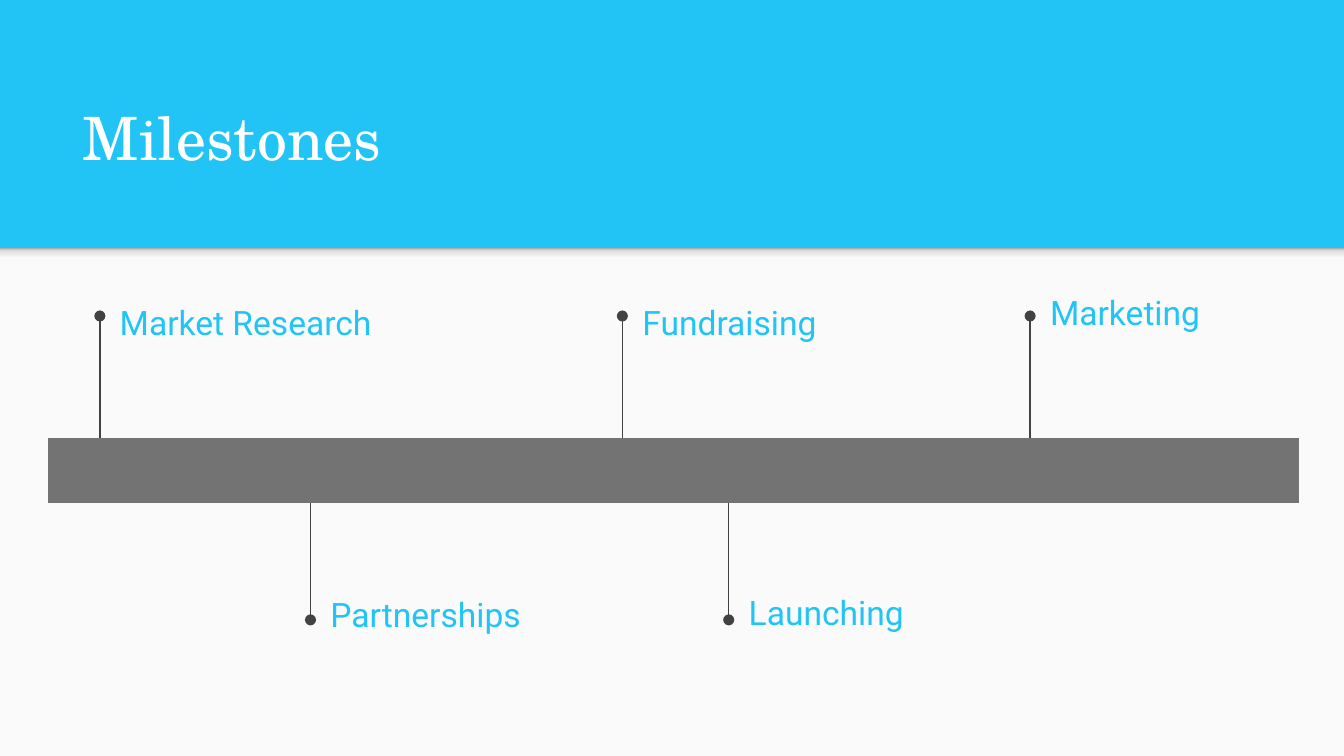
from typing import Any, NamedTuple

from pptx import Presentation
from pptx.dml.color import RGBColor
from pptx.enum.shapes import MSO_CONNECTOR, MSO_SHAPE
from pptx.enum.text import MSO_ANCHOR, MSO_AUTO_SIZE, PP_ALIGN
from pptx.oxml import parse_xml
from pptx.oxml.ns import nsdecls
from pptx.oxml.xmlchemy import OxmlElement
from pptx.util import Inches, Pt

SKY = RGBColor(0x21, 0xC4, 0xF5)
PAPER = RGBColor(0xFA, 0xFA, 0xFA)
WHITE = RGBColor(0xFF, 0xFF, 0xFF)
INK = RGBColor(0x42, 0x42, 0x42)
STEEL = RGBColor(0x73, 0x73, 0x73)
SHADE = {0: RGBColor(0xF9, 0xF9, 0xF9), 36: RGBColor(0xF9, 0xF9, 0xF9),
         80: RGBColor(0xDE, 0xDE, 0xDE), 100: RGBColor(0x99, 0x99, 0x99)}

WIDE = Inches(10)
HIGH = WIDE * 9 // 16
COLS = 12
LEFT, STEP = 0.0355 * WIDE, 0.0776 * WIDE
TOP, DEEP = 0.58 * HIGH, 0.0855 * HIGH
SPLIT = 0.3274
PAD = Inches(0.1)


class Stage(NamedTuple):
    name: str
    col: float
    tip: float
    top: float
    width: float


STAGES = [
    Stage("Market Research", 0.5, 0.418, 0.388, 0.214),
    Stage("Partnerships", 2.52, 0.82, 0.774, 0.198),
    Stage("Fundraising", 5.51, 0.418, 0.388, 0.198),
    Stage("Launching", 6.53, 0.82, 0.772, 0.198),
    Stage("Marketing", 9.42, 0.418, 0.374, 0.214),
]


def style(item: Any, looks: dict[str, Any]) -> None:
    for key, value in looks.items():
        setattr(item, key, value)


def write(shape: Any, text: str, anchor: Any, low: int, font: dict[str, Any]) -> None:
    frame = shape.text_frame
    style(frame, {"word_wrap": True, "auto_size": MSO_AUTO_SIZE.NONE,
                  "vertical_anchor": anchor, "margin_left": PAD,
                  "margin_right": PAD, "margin_top": PAD, "margin_bottom": low})
    line = frame.paragraphs[0]
    line.alignment = PP_ALIGN.LEFT
    run = line.add_run()
    run.text = text
    color = font["color"]
    style(run.font, {key: value for key, value in font.items() if key != "color"})
    run.font.color.rgb = color


def panel(slide: Any, top: float, height: float) -> Any:
    shape = slide.shapes.add_shape(MSO_SHAPE.RECTANGLE, 0, round(top * HIGH),
                                   WIDE, round(height * HIGH))
    shape.shadow.inherit = False
    shape.line.fill.background()
    return shape


def fade(shape: Any) -> None:
    stops = "".join(f'<a:gs pos="{pos * 1000}"><a:srgbClr val="{color}"/></a:gs>'
                    for pos, color in SHADE.items())
    fill = parse_xml(f'<a:gradFill {nsdecls("a")}><a:gsLst>{stops}</a:gsLst>'
                     '<a:lin ang="16200000" scaled="0"/></a:gradFill>')
    shape._element.spPr.insert(2, fill)


def mark(slide: Any, stage: Stage) -> None:
    x = round(LEFT + stage.col * STEP)
    start = TOP if stage.tip * HIGH < TOP else TOP + DEEP
    stem = slide.shapes.add_connector(MSO_CONNECTOR.STRAIGHT, x, round(start),
                                      x, round(stage.tip * HIGH))
    stem.line.color.rgb = INK
    stem.line.width = Pt(0.75)
    dot = OxmlElement("a:tailEnd")
    dot.set("type", "oval")
    stem.line._get_or_add_ln().append(dot)
    stem._element.spPr.append(OxmlElement("a:effectLst"))
    label = slide.shapes.add_textbox(x + Inches(0.05), round(stage.top * HIGH),
                                     round(stage.width * WIDE), round(0.0765 * HIGH))
    write(label, stage.name, MSO_ANCHOR.MIDDLE, PAD,
          {"name": "Roboto", "size": Pt(18), "color": SKY})


def track(slide: Any) -> None:
    table = slide.shapes.add_table(1, COLS, round(LEFT), round(TOP),
                                   round(COLS * STEP), round(DEEP)).table
    style(table, {"first_row": False, "horz_banding": False})
    for col in table.columns:
        col.width = round(STEP)
    for cell in table.iter_cells():
        cell.fill.solid()
        cell.fill.fore_color.rgb = STEEL
        edges = cell._tc.get_or_add_tcPr()
        for spot, side in enumerate(("lnL", "lnR", "lnT", "lnB")):
            edge = OxmlElement(f"a:{side}")
            edge.append(OxmlElement("a:noFill"))
            edges.insert(spot, edge)


def main() -> None:
    deck = Presentation()
    style(deck, {"slide_width": WIDE, "slide_height": HIGH})
    slide = deck.slides.add_slide(deck.slide_layouts[5])
    slide.background.fill.solid()
    slide.background.fill.fore_color.rgb = SKY
    body = panel(slide, SPLIT, 1 - SPLIT)
    body.fill.solid()
    body.fill.fore_color.rgb = PAPER
    band = panel(slide, SPLIT, 0.0214)
    fade(band)
    title = slide.shapes.title
    style(title, {"left": round(0.0515 * WIDE), "top": round(0.144 * HIGH),
                  "width": round(0.899 * WIDE), "height": round(0.15 * HIGH)})
    write(title, "Milestones", MSO_ANCHOR.BOTTOM, Inches(0.37),
          {"name": "TeX Gyre Schola", "size": Pt(32), "color": WHITE})
    for stage in STAGES:
        mark(slide, stage)
    track(slide)
    deck.save("out.pptx")


if __name__ == "__main__":
    main()
